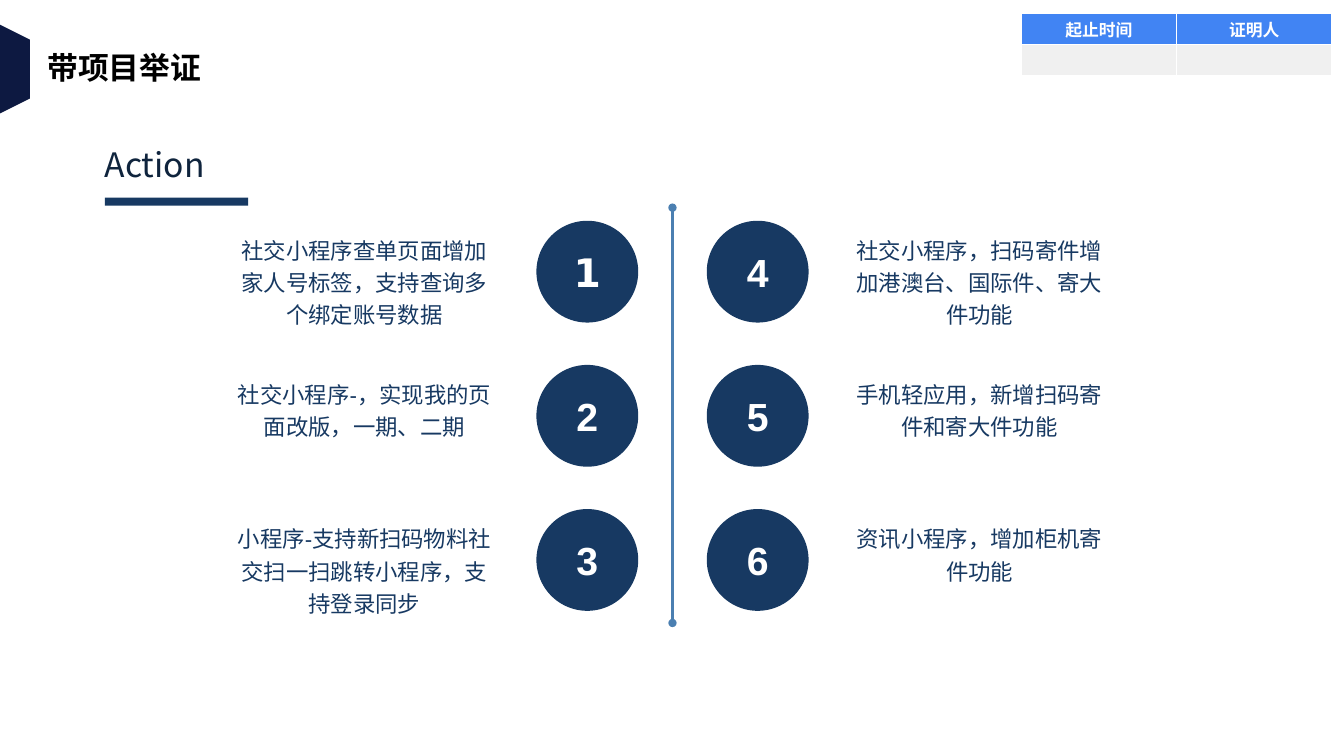
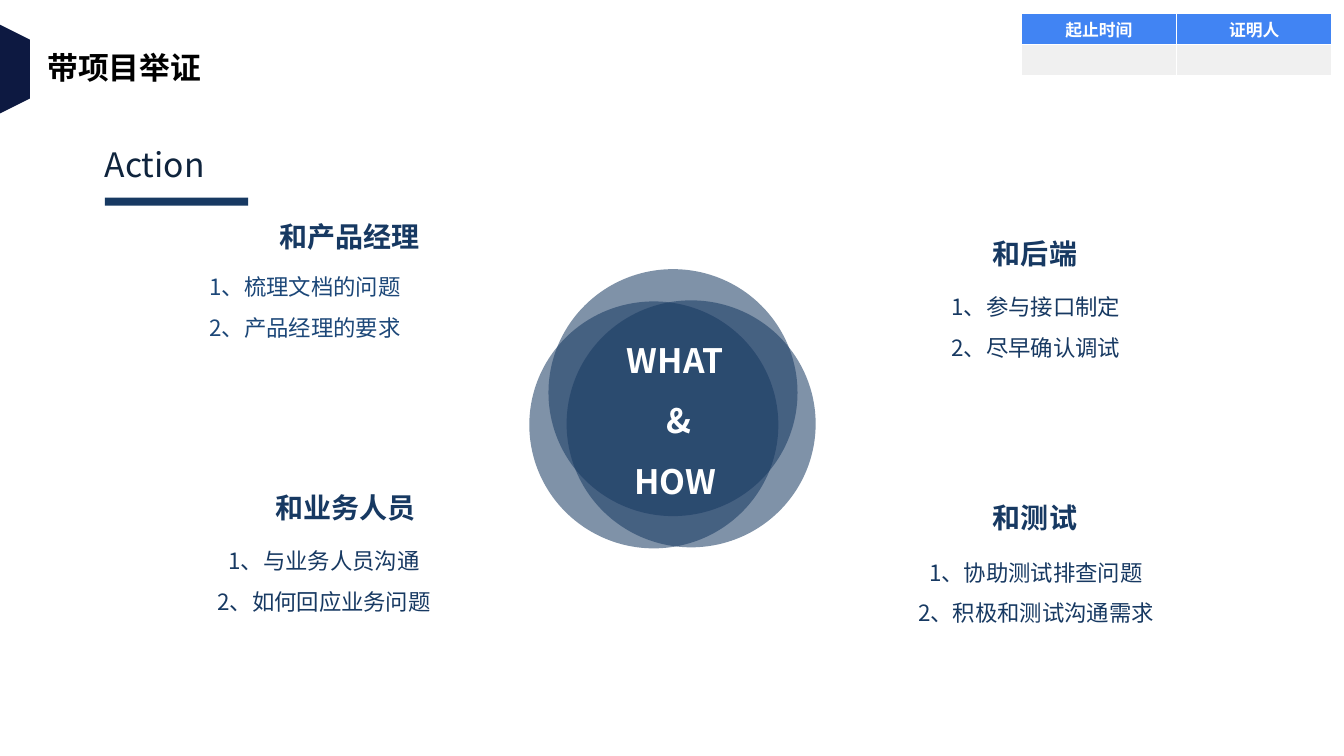
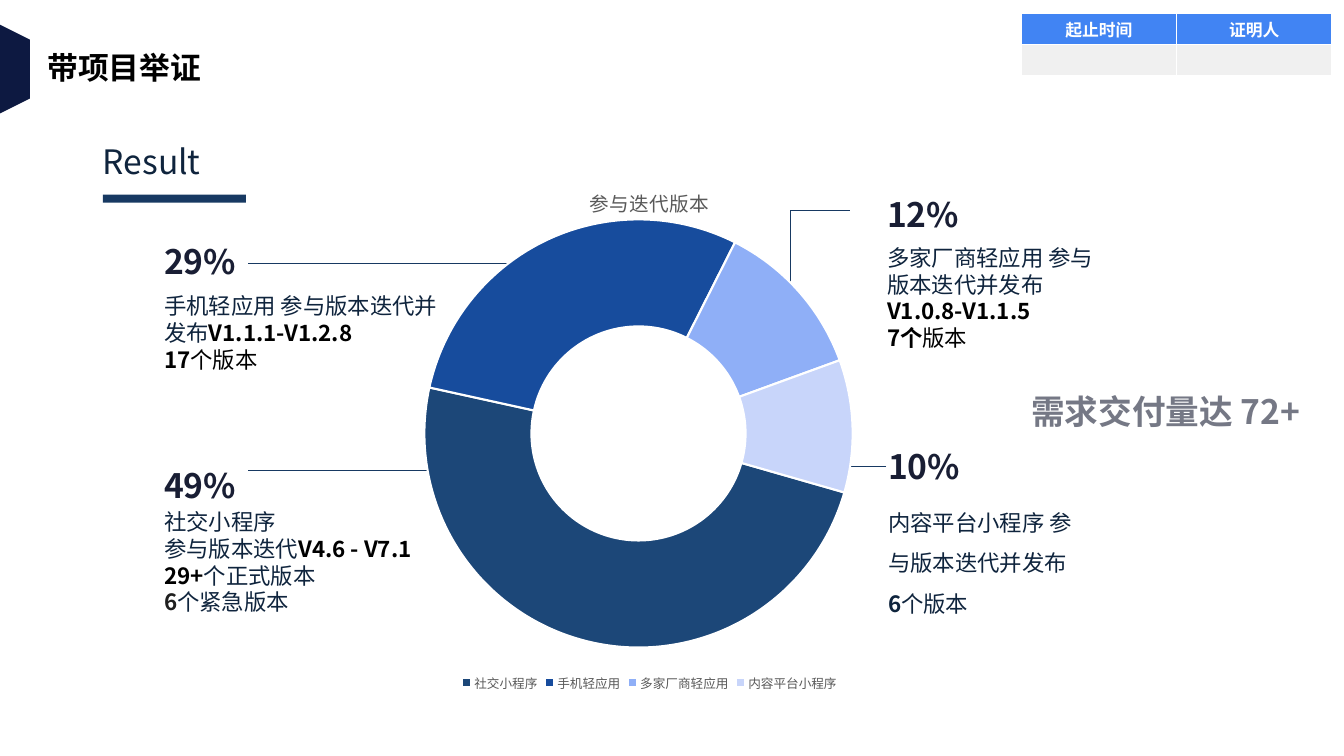
import pptx
import pptx.chart.data
import pptx.dml.color
import pptx.enum.chart
import pptx.enum.shapes
import pptx.enum.text
import pptx.oxml.ns
import pptx.util
from lxml import etree

Inches, Pt = pptx.util.Inches, pptx.util.Pt
qn = pptx.oxml.ns.qn
rgb = pptx.dml.color.RGBColor.from_string
SHAPE = pptx.enum.shapes.MSO_SHAPE
CONNECTOR = pptx.enum.shapes.MSO_CONNECTOR
ALIGN = pptx.enum.text.PP_ALIGN
MIDDLE = pptx.enum.text.MSO_ANCHOR.MIDDLE

NAVY, INK, DARK, BLACK, WHITE = "173962", "0F243D", "191E34", "000000", "FFFFFF"
BLUE, MID_BLUE = "1C4778", "4B7FB1"
CJK = "Noto Sans CJK SC"


def write(frame, paragraphs, size=16, color=NAVY, font=CJK, bold=False, align=ALIGN.LEFT,
          spacing=None, before=None, wrap=True, grow=True):
    """Fill a text frame; a paragraph is a string or a list of (text, colour, bold) spans."""
    frame.word_wrap = wrap
    if grow:
        frame.auto_size = pptx.enum.text.MSO_AUTO_SIZE.SHAPE_TO_FIT_TEXT
    for index, content in enumerate(paragraphs):
        para = frame.paragraphs[0] if index == 0 else frame.add_paragraph()
        para.alignment = align
        if spacing:
            para.line_spacing = spacing
        if before:
            para.space_before = Pt(before)
        spans = [(content, color, bold)] if isinstance(content, str) else content
        for text, span_color, span_bold in spans:
            span = para.add_run()
            span.text = text
            span.font.size = Pt(size)
            span.font.name = font
            span.font.bold = span_bold
            span.font.color.rgb = rgb(span_color)
            etree.SubElement(span._r.get_or_add_rPr(), qn("a:ea"), typeface=CJK)


def draw(page, kind, place, color, opacity=None):
    """Add a flat shape without outline; opacity is in percent."""
    shape = page.shapes.add_shape(kind, *map(Inches, place))
    shape.shadow.inherit = False
    shape.fill.solid()
    shape.fill.fore_color.rgb = rgb(color)
    shape.line.fill.background()
    if opacity:
        fill_color = shape.element.spPr.find(".//" + qn("a:srgbClr"))
        etree.SubElement(fill_color, qn("a:alpha"), val=str(opacity * 1000))
    return shape


deck = pptx.Presentation()
deck.slide_width, deck.slide_height = Inches(13.33), Inches(7.5)

# Shared frame: title, side hexagon, proof table, section heading with bar
pages = []
for heading, left, top in [("Action", 0.94, 1.38), ("Action", 0.94, 1.38), ("Result", 0.92, 1.35)]:
    page = deck.slides.add_slide(deck.slide_layouts[5])
    pages.append(page)
    title = page.shapes.title
    title.left, title.top, title.width, title.height = map(Inches, (0.37, 0.43, 1.74, 0.47))
    write(title.text_frame, ["带项目举证"], size=22, color=BLACK, font="DejaVu Sans", bold=True,
          wrap=False)

    table = page.shapes.add_table(2, 2, *map(Inches, (10.13, 0.13, 3.08, 0.62))).table
    table.horz_banding = False
    for row, (labels, fill) in enumerate([(("起止时间", "证明人"), "4184F3"), (("", ""), "F0F0F0")]):
        for column, label in enumerate(labels):
            cell = table.cell(row, column)
            cell.vertical_anchor = MIDDLE
            cell.margin_top = cell.margin_bottom = Inches(0.02)
            if label:
                write(cell.text_frame, [label], size=12, color=WHITE, font="Arial", bold=True,
                      align=ALIGN.CENTER, grow=False)
            else:
                etree.SubElement(cell.text_frame.paragraphs[0]._p, qn("a:endParaRPr"), sz="1200")
            properties = cell._tc.get_or_add_tcPr()
            for side in ("lnL", "lnR", "lnT", "lnB"):
                border = etree.SubElement(properties, qn("a:" + side), w=str(Pt(1)))
                border_fill = etree.SubElement(border, qn("a:solidFill"))
                etree.SubElement(border_fill, qn("a:srgbClr"), val=WHITE)
            cell.fill.solid()
            cell.fill.fore_color.rgb = rgb(fill)

    draw(page, SHAPE.HEXAGON, (-0.47, 0.37, 0.9, 0.63), "0D1941").rotation = 90
    box = page.shapes.add_textbox(*map(Inches, (left, top, 2.31, 0.5)))
    write(box.text_frame, [heading], size=24, color=INK)
    draw(page, SHAPE.RECTANGLE, (left + 0.1, top + 0.58, 1.42, 0.08), NAVY)

action_page, people_page, result_page = pages

# Slide 1: six numbered actions on both sides of a line
actions = [
    "社交小程序查单页面增加家人号标签，支持查询多个绑定账号数据",
    "社交小程序-，实现我的页面改版，一期、二期",
    "小程序-支持新扫码物料社交扫一扫跳转小程序，支持登录同步",
    "社交小程序，扫码寄件增加港澳台、国际件、寄大件功能",
    "手机轻应用，新增扫码寄件和寄大件功能",
    "资讯小程序，增加柜机寄件功能",
]
for index, action in enumerate(actions):
    column, row = divmod(index, 3)
    offset = 1.43 * row
    circle = draw(action_page, SHAPE.OVAL, ((5.32, 7.01)[column], 2.19 + offset, 1.01, 1.01), NAVY)
    circle.text_frame.vertical_anchor = MIDDLE
    write(circle.text_frame, [str(index + 1)], size=28, color=WHITE, bold=True, align=ALIGN.CENTER,
          font="Arial" if index else "DejaVu Sans", grow=False)
    box = action_page.shapes.add_textbox(
        *map(Inches, ((2.34, 8.44)[column], 2.3 + offset, 2.55, 0.97)))
    frame = box.text_frame
    frame.margin_left = frame.margin_right = frame.margin_top = frame.margin_bottom = 0
    write(frame, [action], font="Arial", align=ALIGN.CENTER, spacing=1.2, before=3)

# Slide 2: overlapping circles and four partner groups
for left, top in [(5.25, 2.99), (5.44, 2.67), (5.62, 2.98)]:
    draw(people_page, SHAPE.OVAL, (left, top, 2.47, 2.45), NAVY, opacity=55)
box = people_page.shapes.add_textbox(*map(Inches, (5.6, 3.12, 2.19, 1.92)))
write(box.text_frame, ["WHAT", " &", "HOW"], size=24, color=WHITE, bold=True,
      align=ALIGN.CENTER, spacing=1.5)

partners = [
    ("和产品经理", (2.49, 1.96, 1.77, 0.6), ALIGN.RIGHT,
     ["1、梳理文档的问题", "2、产品经理的要求"], (1.44, 2.53, 3.17, 0.91), BLUE),
    ("和业务人员", (2.11, 4.65, 2.11, 0.6), ALIGN.RIGHT,
     ["1、与业务人员沟通", "2、如何回应业务问题"], (1.83, 5.25, 2.77, 0.91), NAVY),
    ("和后端", (9.75, 2.13, 1.4, 0.6), ALIGN.LEFT,
     ["1、参与接口制定", "2、尽早确认调试"], (8.72, 2.73, 3.11, 0.91), NAVY),
    ("和测试", (9.75, 4.75, 1.4, 0.6), ALIGN.LEFT,
     ["1、协助测试排查问题", "2、积极和测试沟通需求"], (8.72, 5.36, 3.11, 0.91), NAVY),
]
for name, name_place, name_align, points, points_place, color in partners:
    box = people_page.shapes.add_textbox(*map(Inches, name_place))
    write(box.text_frame, [name], size=20, bold=True, align=name_align, spacing=1.5)
    box = people_page.shapes.add_textbox(*map(Inches, points_place))
    write(box.text_frame, points, color=color, align=ALIGN.CENTER, spacing=1.5)

# Slide 3: shares with details around a doughnut
shares = [
    ("29%", 1.53, 2.14, 0.71, 3.02, None,
     [[("手机轻应用 参与版本迭代并发布", INK, False), ("V1.1.1-V1.2.8", BLACK, True)],
      [("17", BLACK, True), ("个版本", BLACK, False)]]),
    ("49%", 1.53, 4.36, 0.63, 2.82, None,
     ["社交小程序",
      [("参与版本迭代", INK, False), ("V4.6 - V7.1", BLACK, True)],
      [("29+", BLACK, True), ("个正式版本", INK, False)],
      [("6", "1F1F1F", True), ("个紧急版本", INK, False)]]),
    ("12%", 8.7, 1.67, 0.7, 2.45, None,
     [[("多家厂商轻应用 参与版本迭代并发布", INK, False), ("V1.0.8-V1.1.5", BLACK, True)],
      [("7个", BLACK, True), ("版本", BLACK, False)]]),
    ("10%", 8.71, 4.17, 0.7, 2.09, 1.5,
     [[("内容平台小程序 参与版本迭代并发布", INK, False), ("6", INK, True), ("个版本", INK, False)]]),
]
for share, left, top, drop, width, spacing, details in shares:
    box = result_page.shapes.add_textbox(*map(Inches, (left, top, 0.92, 0.71)))
    write(box.text_frame, [share], size=24, color=DARK, bold=True, spacing=1.5, wrap=False)
    box = result_page.shapes.add_textbox(*map(Inches, (left, top + drop, width, 1.18)))
    write(box.text_frame, details, color=INK, spacing=spacing)
box = result_page.shapes.add_textbox(*map(Inches, (10.13, 3.63, 3.43, 0.71)))
write(box.text_frame, ["需求交付量达 72+"], size=24, color="757885", bold=True, spacing=1.5)

# Divider of slide 1 and leader lines of slide 3
lines = [
    (action_page, CONNECTOR.STRAIGHT, (6.67, 2.06, 6.67, 6.18), MID_BLUE, 1.5),
    (result_page, CONNECTOR.STRAIGHT, (2.46, 2.61, 5.19, 2.61), NAVY, 0.75),
    (result_page, CONNECTOR.STRAIGHT, (2.46, 4.67, 4.55, 4.67), NAVY, 0.75),
    (result_page, CONNECTOR.STRAIGHT, (8.79, 4.63, 8.22, 4.63), NAVY, 0.75),
    (result_page, CONNECTOR.ELBOW, (8.43, 2.09, 7.84, 3.39), NAVY, 0.75),
]
for page, kind, ends, color, width in lines:
    line = page.shapes.add_connector(kind, *map(Inches, ends))
    line.line.color.rgb = rgb(color)
    line.line.width = Pt(width)
    properties = line.element.spPr
    if page is action_page:
        for end in ("a:headEnd", "a:tailEnd"):
            etree.SubElement(properties.find(qn("a:ln")), qn(end), type="oval")
    if kind == CONNECTOR.ELBOW:
        properties.find(qn("a:prstGeom")).set("prst", "bentConnector2")
    etree.SubElement(properties, qn("a:effectLst"))

# Doughnut on top of the leader lines
data = pptx.chart.data.CategoryChartData()
data.categories = ["社交小程序", "手机轻应用", "多家厂商轻应用", "内容平台小程序"]
data.add_series("Series 1", (49, 29, 12, 10))
chart = result_page.shapes.add_chart(
    pptx.enum.chart.XL_CHART_TYPE.DOUGHNUT, *map(Inches, (3.65, 1.65, 5.59, 5.25)), data).chart
chart.font.size = Pt(10)
chart.font.name = "DejaVu Sans"
chart.has_title = True
chart.chart_title.include_in_layout = False
chart.chart_title.text_frame.text = "参与迭代版本"
chart.has_legend = True
chart.legend.position = pptx.enum.chart.XL_LEGEND_POSITION.BOTTOM
chart.legend.include_in_layout = False
title_font = chart.chart_title.text_frame.paragraphs[0].runs[0].font
for font, size in [(title_font, 14), (chart.legend.font, 9)]:
    font.size = Pt(size)
    font.name = "DejaVu Sans"
    font.bold = False
    font.color.rgb = rgb("595959")

plot = chart.plots[0]
plot.vary_by_categories = True
plot.has_data_labels = False
for index, color in enumerate([BLUE, "174C9D", "8FAFF7", "C8D5FA"]):
    style = plot.series[0].points[index].format
    style.fill.solid()
    style.fill.fore_color.rgb = rgb(color)
    style.line.color.rgb = rgb(WHITE)
    style.line.width = Pt(1.5)

space = chart.element
for tag, value in [("c:firstSliceAng", 106), ("c:holeSize", 78)]:
    space.find(".//" + qn(tag)).set("val", str(value))
area = space.find(".//" + qn("c:plotArea"))
for old_layout in area.findall(qn("c:layout")):
    area.remove(old_layout)
layout = etree.Element(qn("c:layout"))
area.insert(0, layout)
manual = etree.SubElement(layout, qn("c:manualLayout"))
for tag, value in [("layoutTarget", "inner"), ("xMode", "edge"), ("yMode", "edge"),
                   ("x", 0.1), ("y", 0.1), ("w", 0.76), ("h", 0.81)]:
    etree.SubElement(manual, qn("c:" + tag), val=str(value))
clear = etree.Element(qn("c:spPr"))
etree.SubElement(clear, qn("a:noFill"))
etree.SubElement(etree.SubElement(clear, qn("a:ln")), qn("a:noFill"))
space.find(qn("c:chart")).addnext(clear)

deck.save("out.pptx")
